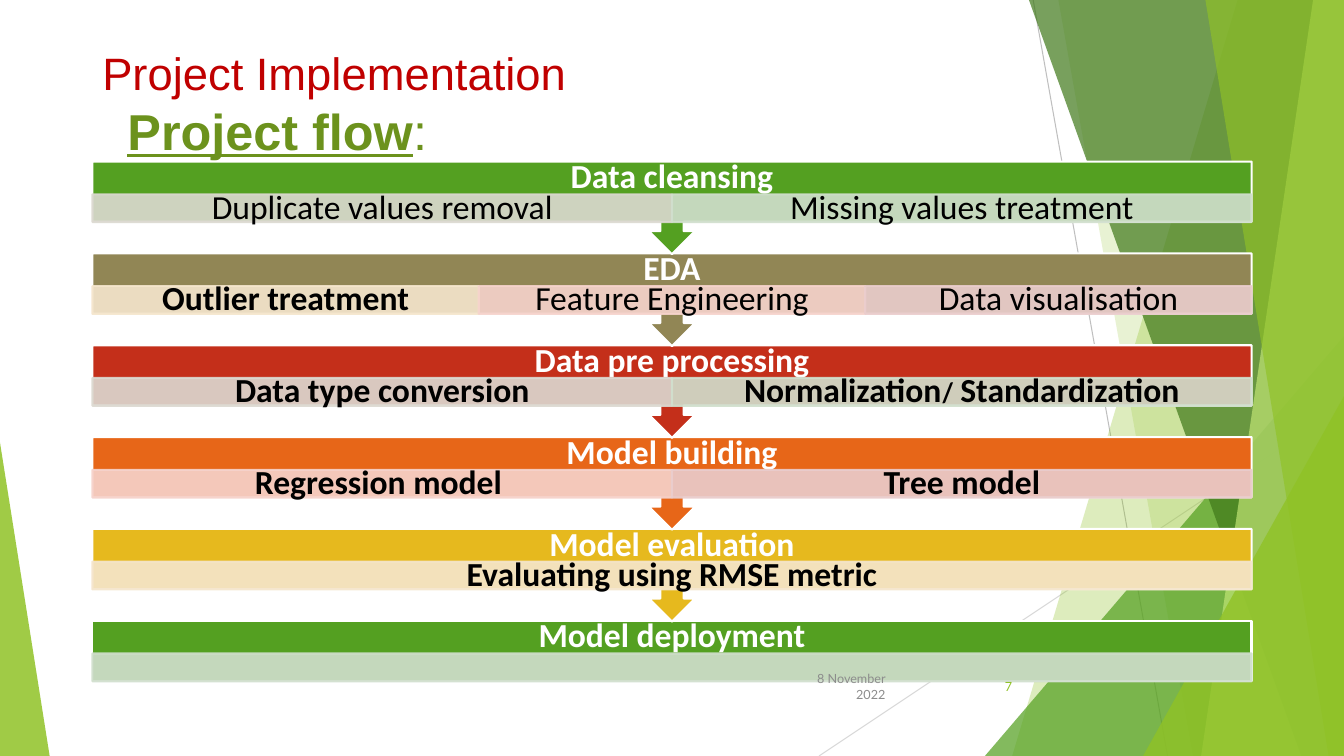
"""Builds the project flow slide: six stages with their steps over a green faceted backdrop."""
from lxml.etree import SubElement
from pptx import Presentation
from pptx.dml.color import RGBColor
from pptx.enum.shapes import MSO_CONNECTOR, MSO_SHAPE
from pptx.enum.text import MSO_ANCHOR, PP_ALIGN
from pptx.oxml.ns import qn
from pptx.util import Pt

WIDTH, HEIGHT = 960, 540

HAIRLINES = [(738, 0, 834, 540, "BFBFBF"), (960, 290, 585, 540, "D9D9D9")]
FACETS = [
    ("band", (884, 723), "90C226", 30),
    ("band", (756, 852), "90C226", 20),
    ("triangle", (703.5, 240, 256.5, 300, 1), "54A021", 72),
    ("band", (735, 929.5), "3F7819", 70),
    ("band", (938, 858), "C0E474", 70),
    ("band", (861, 949), "90C226", 65),
    ("triangle", (816.5, 283, 143.5, 257, 1), "90C226", 80),
    ("triangle", (0, 316, 35.5, 224, 0), "90C226", 85),
]

HEADING = {"size": 32.4, "name": "Arial", "color": "C00000"}
SUBHEADING = {"size": 36, "name": "Arial", "color": "6C921D"}
STAGE = {"size": 24, "name": "Calibri", "color": "FFFFFF", "bold": True}
STEP = {"size": 24, "name": "Calibri", "color": "000000"}
KEY_STEP = STEP | {"bold": True}
SLASH = KEY_STEP | {"size": 19, "name": "Lato"}
DATE = {"size": 9, "name": "Lato", "color": "8C8C8C"}
NUMBER = DATE | {"color": "90C226"}

TITLE = [
    [("Project Implementation", HEADING)],
    [("Project flow", SUBHEADING | {"bold": True, "underline": True}), (":", SUBHEADING)],
]
FOOTERS = [(567.5, 72, "8 November 2022", DATE), (676, 54, "7", NUMBER)]

STAGES = [
    ("Data cleansing", "54A021", [
        ("DCD9D1", [("Duplicate values removal", STEP)]),
        ("D1DFCD", [("Missing values treatment", STEP)])]),
    ("EDA", "918655", [
        ("F5E6CD", [("Outlier treatment", KEY_STEP)]),
        ("F6D3CC", [("Feature Engineering", STEP)]),
        ("EACDCD", [("Data visualisation", STEP)])]),
    ("Data pre processing", "C42F1A", [
        ("DCD9D1", [("Data type conversion", KEY_STEP)]),
        ("D1DFCD", [("Normalization", KEY_STEP), ("/ ", SLASH), ("Standardization", KEY_STEP)])]),
    ("Model building", "E76618", [
        ("F6D3CC", [("Regression model ", KEY_STEP)]),
        ("EACDCD", [("Tree model", KEY_STEP)])]),
    ("Model evaluation", "E6B91E", [
        ("F5E6CD", [("Evaluating using RMSE metric", KEY_STEP)])]),
    ("Model deployment", "54A021", [("D1DFCD", [])]),
]

FLOW_LEFT, FLOW_TOP, FLOW_WIDTH = 66, 115.4, 828
STAGE_PITCH, CALLOUT_HEIGHT, LAST_HEIGHT = 65.6, 66.2, 43
LABEL_HEIGHT, STEP_OFFSET, STEP_HEIGHT = 23.2, 23.4, 19.8


def rgb(code):
    return RGBColor.from_string(code)


def paint(shape, fill, opacity=100, outline=None):
    shape.shadow.inherit = False
    shape.fill.solid()
    shape.fill.fore_color.rgb = rgb(fill)
    if outline:
        shape.line.color.rgb = rgb(outline)
        shape.line.width = Pt(1.5)
    else:
        shape.line.fill.background()
    if opacity < 100:
        for color in shape._element.spPr.iter(qn("a:srgbClr")):
            SubElement(color, qn("a:alpha"), val=str(opacity * 1000))


def write(shape, paragraphs, align, anchor=MSO_ANCHOR.MIDDLE, side=7.2, edge=3.6, spacing=1):
    frame = shape.text_frame
    layout = {"word_wrap": True, "vertical_anchor": anchor,
              "margin_left": Pt(side), "margin_right": Pt(side),
              "margin_top": Pt(edge), "margin_bottom": Pt(edge)}
    for key, value in layout.items():
        setattr(frame, key, value)
    for index, pieces in enumerate(paragraphs):
        paragraph = frame.add_paragraph() if index else frame.paragraphs[0]
        paragraph.alignment = align
        paragraph.line_spacing = spacing
        for words, style in pieces:
            run = paragraph.add_run()
            run.text = words
            for key, value in style.items():
                if key == "color":
                    run.font.color.rgb = rgb(value)
                else:
                    setattr(run.font, key, Pt(value) if key == "size" else value)
    return frame


def box(shapes, kind, left, top, width, height):
    return shapes.add_shape(kind, Pt(left), Pt(top), Pt(width), Pt(height))


def textbox(shapes, left, top, width, height):
    return shapes.add_textbox(Pt(left), Pt(top), Pt(width), Pt(height))


def draw_backdrop(shapes):
    for x1, y1, x2, y2, color in HAIRLINES:
        hairline = shapes.add_connector(MSO_CONNECTOR.STRAIGHT, Pt(x1), Pt(y1), Pt(x2), Pt(y2))
        hairline.line.color.rgb = rgb(color)
        hairline.line.width = Pt(0.75)
        SubElement(hairline._element.spPr, qn("a:effectLst"))
    for kind, geometry, color, opacity in FACETS:
        if kind == "band":
            top_x, bottom_x = geometry
            outline = shapes.build_freeform(Pt(top_x), 0)
            corners = [(WIDTH, 0), (WIDTH, HEIGHT), (bottom_x, HEIGHT)]
            outline.add_line_segments([(Pt(x), Pt(y)) for x, y in corners])
            facet = outline.convert_to_shape()
        else:
            *bounds, apex = geometry
            facet = box(shapes, MSO_SHAPE.ISOSCELES_TRIANGLE, *bounds)
            facet.adjustments[0] = apex
        paint(facet, color, opacity)


def draw_stage(shapes, index):
    label, color, steps = STAGES[index]
    top = FLOW_TOP + index * STAGE_PITCH
    if index == len(STAGES) - 1:
        block = box(shapes, MSO_SHAPE.RECTANGLE, FLOW_LEFT, top, FLOW_WIDTH, LAST_HEIGHT)
    else:
        block = box(shapes, MSO_SHAPE.UP_ARROW_CALLOUT, FLOW_LEFT, top, FLOW_WIDTH, CALLOUT_HEIGHT)
        block.rotation = 180
    paint(block, color, outline="FFFFFF")
    heading = textbox(shapes, FLOW_LEFT, top, FLOW_WIDTH, LABEL_HEIGHT)
    write(heading, [[(label, STAGE)]], PP_ALIGN.CENTER, side=13.7, edge=13.7, spacing=0.9)
    step_width = FLOW_WIDTH / len(steps)
    for column, (tint, pieces) in enumerate(steps):
        step = box(shapes, MSO_SHAPE.RECTANGLE, FLOW_LEFT + column * step_width,
                   top + STEP_OFFSET, step_width, STEP_HEIGHT)
        paint(step, tint, 90, tint)
        if pieces:
            write(step, [pieces], PP_ALIGN.CENTER, side=13.7, edge=2.2, spacing=0.9)


def main():
    deck = Presentation()
    deck.slide_width, deck.slide_height = Pt(WIDTH), Pt(HEIGHT)
    shapes = deck.slides.add_slide(deck.slide_layouts[6]).shapes
    draw_backdrop(shapes)
    title = write(textbox(shapes, FLOW_LEFT, 28.8, FLOW_WIDTH, 78.5), TITLE,
                  PP_ALIGN.LEFT, MSO_ANCHOR.TOP)
    title.paragraphs[1]._p.get_or_add_pPr().set("marL", str(Pt(18)))
    for index in reversed(range(len(STAGES))):
        draw_stage(shapes, index)
    for left, width, words, style in FOOTERS:
        write(textbox(shapes, left, 476, width, 28.8), [[(words, style)]], PP_ALIGN.RIGHT)
    deck.save("out.pptx")


if __name__ == "__main__":
    main()
